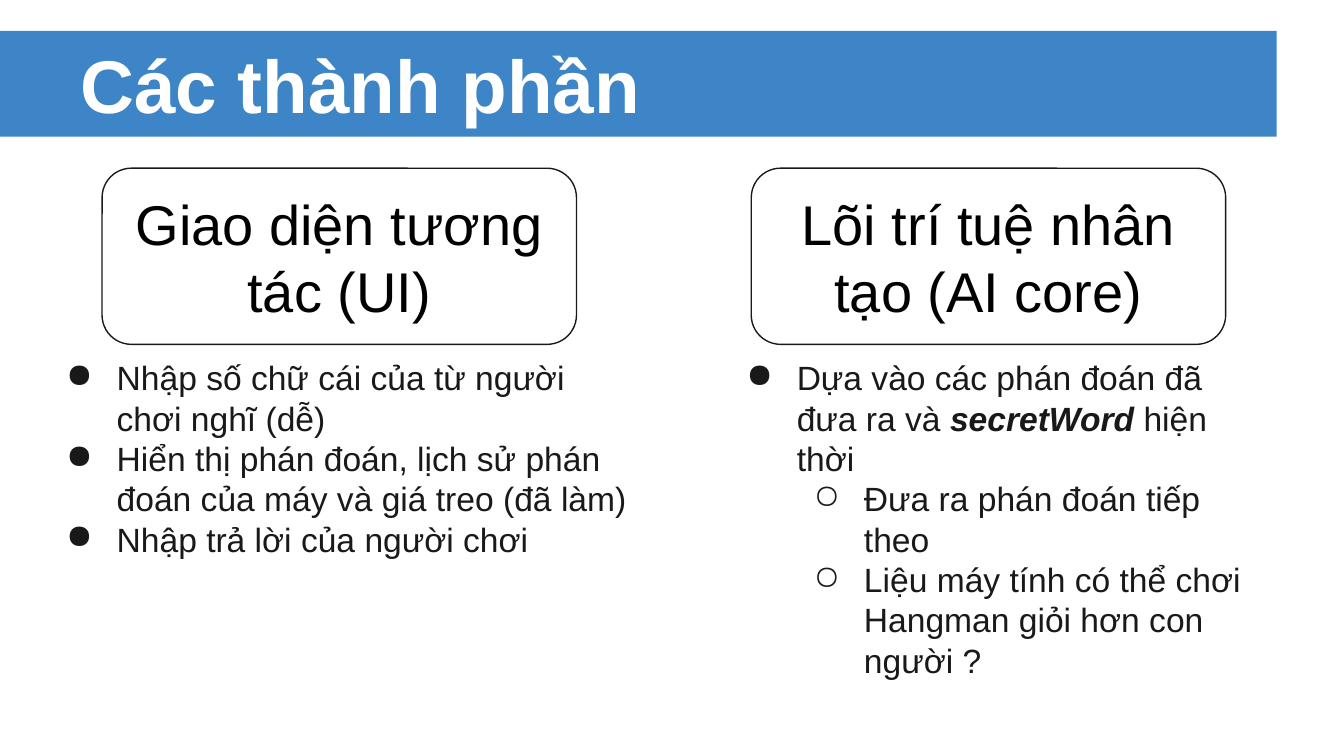
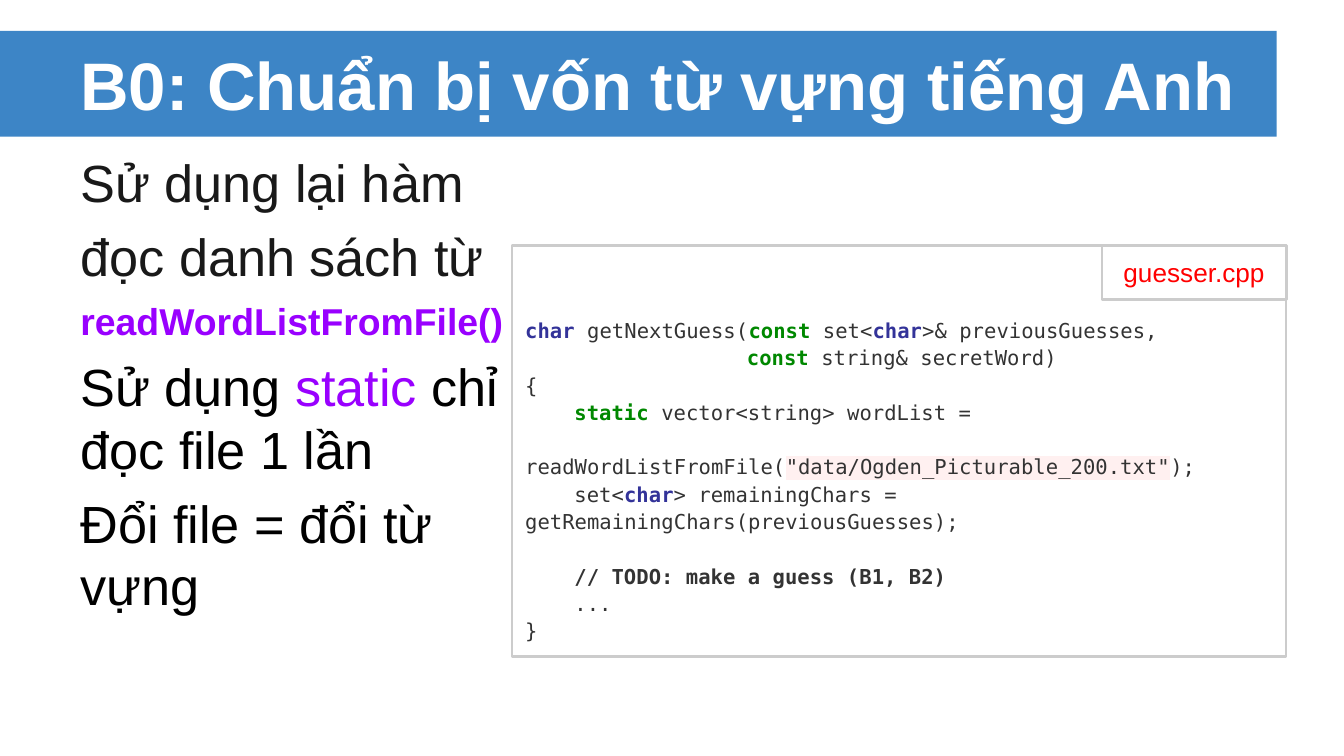
from lxml import etree
from pptx import Presentation
from pptx.dml.color import RGBColor
from pptx.enum.shapes import MSO_SHAPE
from pptx.enum.text import MSO_ANCHOR, PP_ALIGN
from pptx.oxml.ns import qn
from pptx.util import Inches, Pt

RECT, ROUNDED = MSO_SHAPE.RECTANGLE, MSO_SHAPE.ROUNDED_RECTANGLE
TOP, MIDDLE = MSO_ANCHOR.TOP, MSO_ANCHOR.MIDDLE
LEFT, CENTER = PP_ALIGN.LEFT, PP_ALIGN.CENTER

COLORS = {
    "band": "3D85C6", "white": "FFFFFF", "ink": "191919", "black": "000000",
    "purple": "9900FF", "red": "FF0000", "frame": "CCCCCC",
    "code": "333333", "type": "333399", "keyword": "008800", "string": "FFF0F0",
}
SANS, MONO = "Arial", "DejaVu Sans Mono"

prs = Presentation()
prs.slide_width, prs.slide_height = Inches(10), Inches(5.625)
# Grid of 100 columns by 100 rows
COL, ROW = prs.slide_width / 100, prs.slide_height / 100


def add_box(slide, place, kind=None, fill=None, line=None, weight=0.75, anchor=TOP):
    """Add a shape, or a text box if no kind is given; place is in columns and rows."""
    x, y, w, h = place
    area = [int(v) for v in (x * COL, y * ROW, w * COL, h * ROW)]
    if kind is None:
        box = slide.shapes.add_textbox(*area)
    else:
        box = slide.shapes.add_shape(kind, *area)
        box.shadow.inherit = False
        box.fill.background()
        box.line.fill.background()
    if fill:
        box.fill.solid()
        box.fill.fore_color.rgb = RGBColor.from_string(COLORS[fill])
    if line:
        box.line.color.rgb = RGBColor.from_string(COLORS[line])
        box.line.width = Pt(weight)
    frame = box.text_frame
    frame.word_wrap = True
    frame.vertical_anchor = anchor
    frame.margin_left = frame.margin_right = int(COL)
    frame.margin_top = frame.margin_bottom = int(COL)
    return frame


def write(frame, runs, size, font=SANS, align=LEFT, before=0):
    """Add a paragraph of (text, color, style); style may hold b, i and h (highlight)."""
    first = frame.paragraphs[0]
    para = frame.add_paragraph() if first.runs else first
    para.alignment = align
    para.space_before = Pt(before)
    for text, color, style in runs:
        for number, part in enumerate(text.split("\n")):
            if number:
                para.add_line_break()
            run = para.add_run()
            run.text = part
            run.font.size, run.font.name = Pt(size), font
            run.font.bold, run.font.italic = "b" in style, "i" in style
            run.font.color.rgb = RGBColor.from_string(COLORS[color])
            if "h" in style:
                mark = etree.Element(qn("a:highlight"))
                etree.SubElement(mark, qn("a:srgbClr"), val=COLORS["string"])
                run.font._element.find(qn("a:solidFill")).addnext(mark)
    return para


# Both slides: band and title
slides = []
for title, size in [("Các thành phần", 40), ("B0: Chuẩn bị vốn từ vựng tiếng Anh", 36)]:
    slide = prs.slides.add_slide(prs.slide_layouts[6])
    add_box(slide, (0, 4.1, 95, 14), RECT, fill="band")
    heading = add_box(slide, (5, 4.1, 90, 14), anchor=MIDDLE)
    write(heading, [(title, "white", "b")], size)
    slides.append(slide)
parts_slide, words_slide = slides

# Slide 1: two components, each with a card and a list
components = [
    ("Giao diện tương tác (UI)", 7.6, (2.7, 45.5, 45, 41.8), [
        (0, [("Nhập số chữ cái của từ người chơi nghĩ (dễ)", "ink", "")]),
        (0, [("Hiển thị phán đoán, lịch sử phán đoán của máy và giá treo (đã làm)", "ink", "")]),
        (0, [("Nhập trả lời của người chơi", "ink", "")]),
    ]),
    ("Lõi trí tuệ nhân tạo (AI core)", 55.9, (53.3, 45.5, 40.5, 50.8), [
        (0, [("Dựa vào các phán đoán đã đưa ra và ", "ink", ""),
             ("secretWord ", "ink", "bi"), ("hiện thời", "ink", "")]),
        (1, [("Đưa ra phán đoán tiếp theo", "ink", "")]),
        (1, [("Liệu máy tính có thể chơi Hangman giỏi hơn con người ?", "ink", "")]),
    ]),
]
for name, card_x, list_place, items in components:
    card = add_box(parts_slide, (card_x, 22.25, 35.3, 23.3), ROUNDED,
                   line="ink", anchor=MIDDLE)
    write(card, [(name, "black", "")], 30, align=CENTER)
    details = add_box(parts_slide, list_place)
    for number, (level, runs) in enumerate(items):
        item = write(details, runs, 18, before=0 if number else 4.8)
        item.level = level
        props = item._p.get_or_add_pPr()
        props.set("marL", str(int(5 * COL * (level + 1))))
        props.set("indent", str(int(-3.75 * COL)))
        bullet_color = etree.SubElement(props, qn("a:buClr"))
        etree.SubElement(bullet_color, qn("a:srgbClr"), val=COLORS["ink"])
        etree.SubElement(props, qn("a:buChar"), char="●○"[level])

# Slide 2: steps on the left
steps = add_box(words_slide, (5, 18.1, 90, 77.7))
for size, runs in [
    (28, [("Sử dụng lại hàm", "ink", "")]),
    (28, [("đọc danh sách từ", "ink", "")]),
    (20, [("readWordListFromFile()", "purple", "b")]),
    (28, [("Sử dụng ", "black", ""), ("static", "purple", ""),
          (" chỉ \nđọc file 1 lần", "black", "")]),
    (28, [("Đổi file = đổi từ\nvựng", "black", "")]),
]:
    write(steps, runs, size, before=6)

# Slide 2: code listing, each line as (indent in characters, blank lines before, runs)
CODE_SIZE, CODE_LEADING = 11, 1.11
CHAR_WIDTH = Pt(CODE_SIZE) * 0.6
BLANK_LINE = 14.5
listing = [
    (0, 0, [("char", "type", "b"), (" getNextGuess(", "code", ""),
            ("const", "keyword", "b"), (" set<", "code", ""),
            ("char", "type", "b"), (">& previousGuesses,", "code", "")]),
    (18, 0, [("const", "keyword", "b"), (" string& secretWord)", "code", "")]),
    (0, 0, [("{", "code", "")]),
    (4, 0, [("static", "keyword", "b"), (" vector<string> wordList =", "code", "")]),
    (0, 1, [("readWordListFromFile(", "code", ""),
            ('"data/Ogden_Picturable_200.txt"', "code", "h"), (");", "code", "")]),
    (4, 0, [("set<", "code", ""), ("char", "type", "b"),
            ("> remainingChars =", "code", "")]),
    (0, 0, [("getRemainingChars(previousGuesses);", "code", "")]),
    (4, 1, [("// TODO: make a guess (B1, B2)", "code", "b")]),
    (4, 0, [("...", "code", "")]),
    (0, 0, [("}", "code", "")]),
]
code = add_box(words_slide, (38.1, 32.5, 57.6, 54.4), RECT, line="frame", weight=1.5)
code.margin_top = int(9.2 * ROW)
for indent, blanks, runs in listing:
    code_line = write(code, runs, CODE_SIZE, MONO, before=blanks * BLANK_LINE)
    code_line.line_spacing = CODE_LEADING
    code_line._p.get_or_add_pPr().set("marL", str(int(indent * CHAR_WIDTH)))

# Slide 2: file name tab in the corner of the listing
file_tab = add_box(words_slide, (82, 32.5, 13.7, 7.1), RECT, line="frame",
                   weight=1.5, anchor=MIDDLE)
write(file_tab, [("guesser.cpp", "red", "")], 14, align=CENTER)

prs.save("out.pptx")
